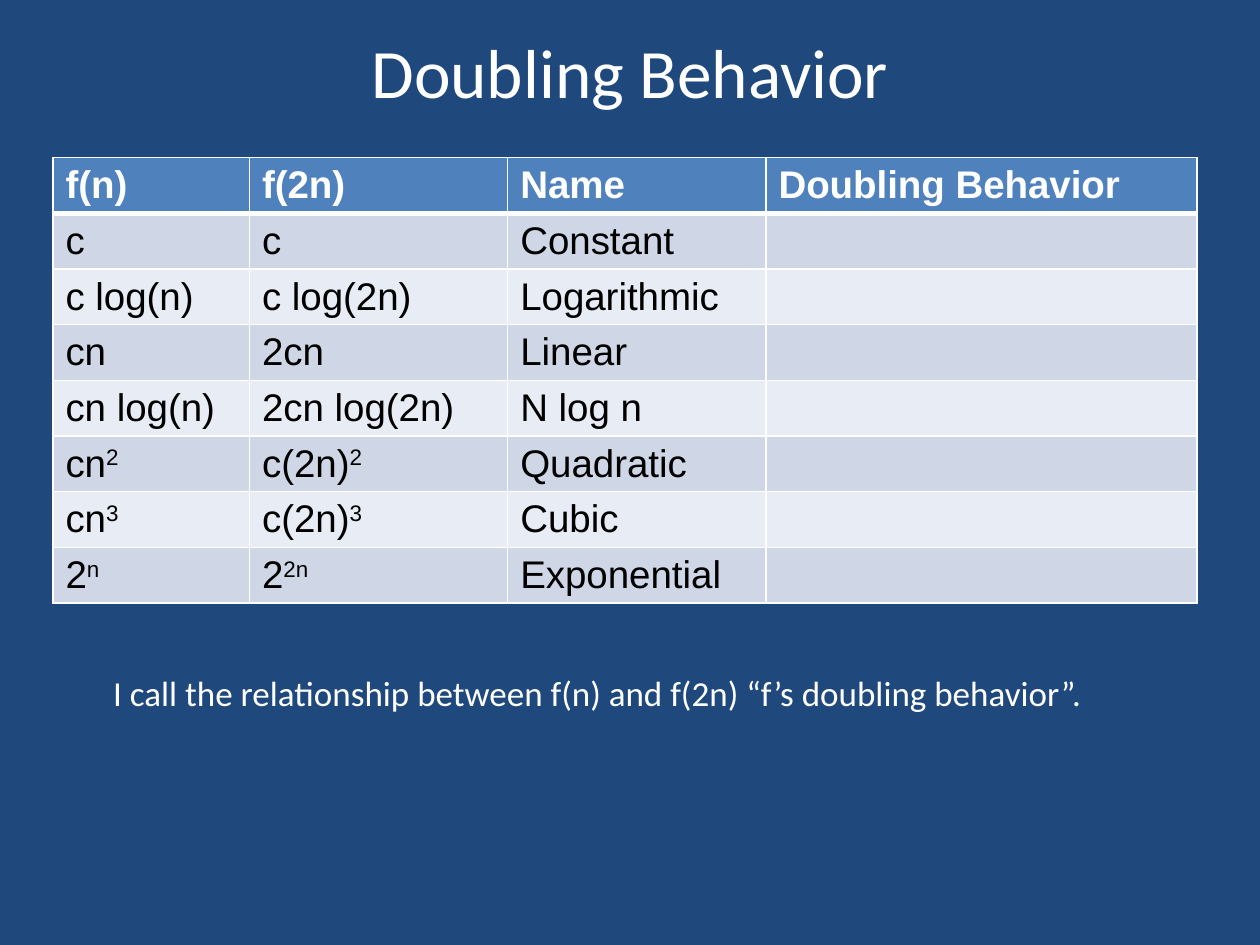
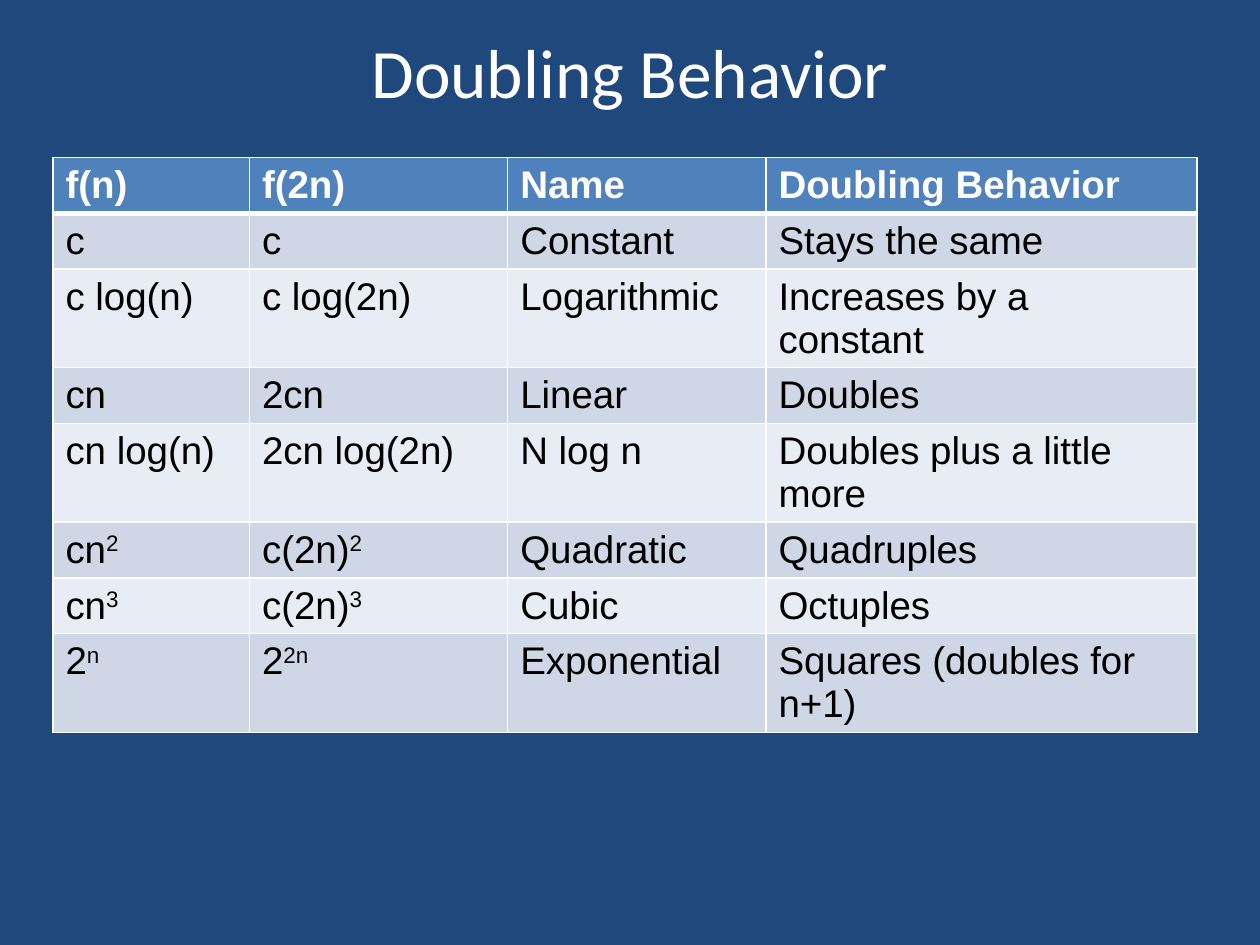
"""Build two slides on how common functions grow when their input doubles."""
import pptx
import pptx.util
import pptx.dml.color
import pptx.enum.text
import pptx.oxml
import pptx.oxml.ns

Inches = pptx.util.Inches
COLORS = {"background": "1F497D", "header": "4F81BD", "odd": "CFD7E7",
          "even": "E8ECF4", "light": "FFFFFF", "dark": "000000"}
TITLE = "Doubling Behavior"
HEADER = ("f(n)", "f(2n)", "Name", "Doubling Behavior")
GROWTH = [
    ("c", "c", "Constant", "Stays the same"),
    ("c log(n)", "c log(2n)", "Logarithmic", "Increases by a constant"),
    ("cn", "2cn", "Linear", "Doubles"),
    ("cn log(n)", "2cn log(2n)", "N log n", "Doubles plus a little more"),
    ("cn^2", "c(2n)^2", "Quadratic", "Quadruples"),
    ("cn^3", "c(2n)^3", "Cubic", "Octuples"),
    ("2^n", "2^2n", "Exponential", "Squares (doubles for n+1)"),
]
REMARK = "I call the relationship between f(n) and f(2n) “f’s doubling behavior”."
SLIDES = [{"answers": False, "remark": REMARK}, {"answers": True, "remark": None}]
COLUMN_WIDTHS = (1.56, 2.05, 2.05, 3.42)
ROW_HEIGHT = 0.41


def rgb(name):
    """Return the named palette colour."""
    return pptx.dml.color.RGBColor.from_string(COLORS[name])


def write(frame, text, size=20, font="Calibri", color="light", bold=False, align=None):
    """Write text into a frame, raising whatever follows a caret."""
    frame.word_wrap = True
    paragraph = frame.paragraphs[0]
    paragraph.alignment = align
    for index, part in enumerate(text.split("^")):
        run = paragraph.add_run()
        run.text = part
        run.font.size = pptx.util.Pt(size)
        run.font.name = font
        run.font.bold = bold
        run.font.color.rgb = rgb(color)
        if index:
            run._r.get_or_add_rPr().set("baseline", "30000")


def add_borders(cell, widths):
    """Add white cell borders, given as side and width in points."""
    for side, points in widths.items():
        cell._tc.get_or_add_tcPr().append(pptx.oxml.parse_xml(
            f'<a:ln{side} {pptx.oxml.ns.nsdecls("a")} w="{pptx.util.Pt(points)}">'
            f'<a:solidFill><a:srgbClr val="{COLORS["light"]}"/></a:solidFill></a:ln{side}>'))


def add_growth_table(slide, answers):
    """Add the growth table, with or without its last column filled in."""
    rows = [HEADER] + [row if answers else row[:3] + ("",) for row in GROWTH]
    table = slide.shapes.add_table(
        len(rows), len(HEADER), Inches(0.42), Inches(1.25),
        Inches(sum(COLUMN_WIDTHS)), Inches(ROW_HEIGHT * len(rows))).table
    for column, width in zip(table.columns, COLUMN_WIDTHS):
        column.width = Inches(width)
    for number, row in enumerate(rows):
        table.rows[number].height = Inches(ROW_HEIGHT)
        heading = number == 0
        band = "header" if heading else ("even", "odd")[number % 2]
        borders = {"L": 1, "R": 1, "T": 1, "B": 3 if heading else 1}
        if number == 1:
            del borders["T"]
        for cell, text in zip(table.rows[number].cells, row):
            add_borders(cell, borders)
            cell.fill.solid()
            cell.fill.fore_color.rgb = rgb(band)
            if text:
                write(cell.text_frame, text, size=22, font="Arial",
                      color="light" if heading else "dark", bold=heading)


def add_title(slide):
    """Place and fill the title placeholder."""
    title = slide.shapes.title
    title.left, title.top, title.width, title.height = map(Inches, (0.5, 0.17, 9, 0.78))
    title.text_frame.auto_size = pptx.enum.text.MSO_AUTO_SIZE.NONE
    title.text_frame.vertical_anchor = pptx.enum.text.MSO_ANCHOR.MIDDLE
    write(title.text_frame, TITLE, size=39.6, align=pptx.enum.text.PP_ALIGN.CENTER)


def build():
    """Build and save the presentation."""
    deck = pptx.Presentation()
    deck.slide_width, deck.slide_height = Inches(10), Inches(7.5)
    background = deck.slide_master.background.fill
    background.solid()
    background.fore_color.rgb = rgb("background")
    for content in SLIDES:
        slide = deck.slides.add_slide(deck.slide_layouts.get_by_name("Title Only"))
        add_title(slide)
        add_growth_table(slide, content["answers"])
        if content["remark"]:
            remark = slide.shapes.add_textbox(*map(Inches, (0.8, 5.28, 8.67, 1.34)))
            write(remark.text_frame, content["remark"])
    deck.save("out.pptx")


build()
